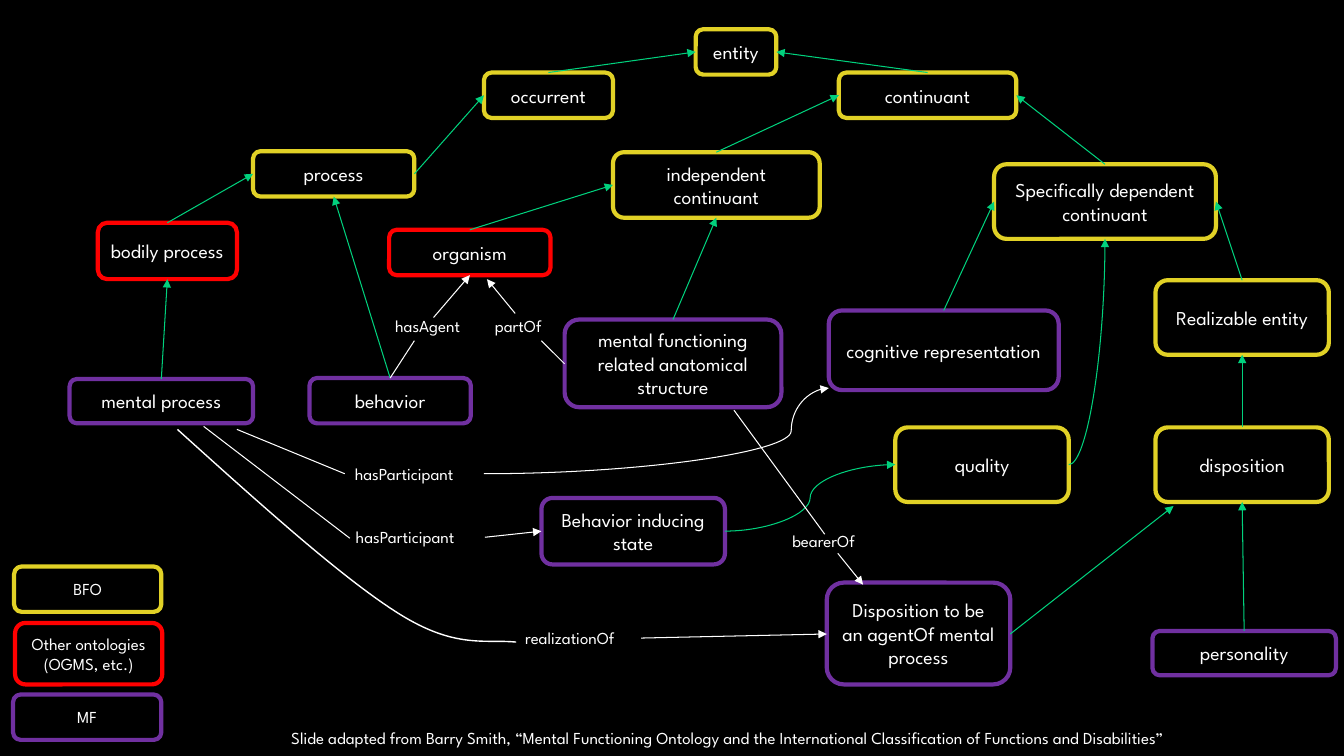
"""Build a slide showing a mental functioning ontology as a linked hierarchy."""
from typing import NamedTuple

from lxml import etree
from pptx import Presentation
from pptx.dml.color import RGBColor
from pptx.enum.shapes import MSO_CONNECTOR, MSO_SHAPE
from pptx.enum.text import MSO_ANCHOR, PP_ALIGN
from pptx.oxml.ns import qn
from pptx.util import Emu, Pt

PX = 9144
FONT = "League Spartan"
COLOURS = {
    "background": "000000",
    "text": "FFFFFF",
    "relation": "FFFFFF",
    "is_a": "01D17D",
    "BFO": "E1D126",
    "other": "FF0000",
    "MF": "7030A0",
}
ROUNDED = MSO_SHAPE.ROUNDED_RECTANGLE
STRAIGHT, CURVE = MSO_CONNECTOR.STRAIGHT, MSO_CONNECTOR.CURVE
CENTER, LEFT_ALIGN = PP_ALIGN.CENTER, PP_ALIGN.LEFT
MIDDLE = MSO_ANCHOR.MIDDLE
TOP, LEFT, BOTTOM, RIGHT = range(4)


class Box(NamedTuple):
    text: str
    ontology: str
    left: int
    top: int
    width: int
    height: int
    size: int = 14
    inset: bool = True


class Link(NamedTuple):
    child: str
    child_side: int
    parent: str
    parent_side: int
    preset: str = "line"


class Line(NamedTuple):
    x1: int
    y1: int
    x2: int
    y2: int
    arrow: bool = True
    colour: str = "relation"
    bend: int = 0


class Label(NamedTuple):
    text: str
    left: int
    top: int
    width: int


BOXES = [
    Box("entity", "BFO", 690, 29, 80, 45),
    Box("occurrent", "BFO", 480, 72, 128, 45),
    Box("continuant", "BFO", 832, 72, 176, 45),
    Box("process", "BFO", 251, 150, 160, 45),
    Box("independent continuant", "BFO", 608, 151, 205, 65),
    Box("Specifically dependent continuant", "BFO", 986, 163, 220, 74),
    Box("Realizable entity", "BFO", 1146, 278, 172, 74),
    Box("disposition", "BFO", 1146, 424, 172, 74),
    Box("quality", "BFO", 888, 424, 172, 74),
    Box("organism", "other", 386, 228, 160, 45),
    Box("bodily process", "other", 97, 221, 138, 56),
    Box("behavior", "MF", 307, 375, 160, 45),
    Box("mental functioning related anatomical structure", "MF", 560, 317, 215, 87),
    Box("cognitive representation", "MF", 822, 308, 228, 79),
    Box("mental process", "MF", 69, 376, 182, 44),
    Box("Behavior inducing state", "MF", 537, 494, 182, 66),
    Box("Disposition to be an agentOf mental process", "MF", 820, 578, 182, 101),
    Box("personality", "MF", 1143, 626, 182, 44),
    Box("BFO", "BFO", 14, 562, 146, 45, 12),
    Box("Other ontologies (OGMS, etc.)", "other", 15, 618, 146, 61, 12, False),
    Box("MF", "MF", 13, 689, 147, 45, 12),
]
LINKS = [
    Link("occurrent", TOP, "entity", LEFT),
    Link("continuant", TOP, "entity", RIGHT),
    Link("process", RIGHT, "occurrent", LEFT),
    Link("independent continuant", TOP, "continuant", LEFT),
    Link("Specifically dependent continuant", TOP, "continuant", RIGHT),
    Link("Realizable entity", TOP, "Specifically dependent continuant", RIGHT),
    Link("disposition", TOP, "Realizable entity", BOTTOM),
    Link("organism", TOP, "independent continuant", LEFT),
    Link("mental functioning related anatomical structure", TOP, "independent continuant", BOTTOM),
    Link("cognitive representation", TOP, "Specifically dependent continuant", LEFT),
    Link("quality", RIGHT, "Specifically dependent continuant", BOTTOM, "curvedConnector2"),
    Link("behavior", TOP, "process", BOTTOM),
    Link("mental process", TOP, "bodily process", BOTTOM),
    Link("bodily process", TOP, "process", LEFT),
    Link("personality", TOP, "disposition", BOTTOM),
    Link("Behavior inducing state", RIGHT, "quality", LEFT, "curvedConnector3"),
]
LINES = [
    Line(1002, 629, 1164, 502, colour="is_a"),
    Line(387, 375, 411, 338, arrow=False),
    Line(430, 315, 466, 273),
    Line(560, 361, 537, 338, arrow=False),
    Line(511, 311, 483, 277),
    Line(235, 426, 342, 470, arrow=False),
    Line(481, 533, 537, 527),
    Line(818, 530, 728, 407, arrow=False),
    Line(831, 549, 856, 580),
    Line(480, 470, 822, 385, bend=89100),
    Line(202, 423, 347, 534, arrow=False),
    Line(636, 633, 820, 629),
]
LABELS = [
    Label("hasAgent", 382, 308, 99),
    Label("partOf", 481, 308, 74),
    Label("hasParticipant", 342, 455, 138),
    Label("hasParticipant", 343, 518, 138),
    Label("bearerOf", 776, 522, 95),
    Label("realizationOf", 511, 618, 125),
    Label("Slide adapted from Barry Smith, “Mental Functioning Ontology and the "
          "International Classification of Functions and Disabilities”", 279, 717, 1059),
]
REALIZATION_CURVE = [(176, 426), (258, 500), (340, 574), (396, 609), (452, 644), (481, 634), (512, 637)]


def px(*lengths: int) -> list[Emu]:
    return [Emu(length * PX) for length in lengths]


def colour_of(name: str) -> RGBColor:
    return RGBColor.from_string(COLOURS[name])


def write_text(shape, text: str, size: int, alignment) -> None:
    frame = shape.text_frame
    frame.text = text
    frame.word_wrap = True
    paragraph = frame.paragraphs[0]
    paragraph.alignment = alignment
    font = paragraph.runs[0].font
    font.name, font.size, font.color.rgb = FONT, Pt(size), colour_of("text")


def style_line(shape, colour: str, width: float) -> None:
    shape.line.color.rgb = colour_of(colour)
    shape.line.width = Pt(width)


def draw_box(slide, box: Box):
    shape = slide.shapes.add_shape(ROUNDED, *px(box.left, box.top, box.width, box.height))
    shape.shadow.inherit = False
    shape.fill.background()
    style_line(shape, box.ontology, 3)
    write_text(shape, box.text, box.size, CENTER)
    frame = shape.text_frame
    frame.vertical_anchor = MIDDLE
    if not box.inset:
        frame.margin_left = frame.margin_right = frame.margin_top = frame.margin_bottom = 0
    return shape


def style_connector(connector, colour: str, arrow: bool) -> None:
    style_line(connector, colour, 0.75)
    if arrow:
        etree.SubElement(connector.line._get_or_add_ln(), qn("a:tailEnd"), type="triangle")
    etree.SubElement(connector._element.spPr, qn("a:effectLst"))


def draw_link(slide, link: Link, boxes: dict) -> None:
    kind = STRAIGHT if link.preset == "line" else CURVE
    connector = slide.shapes.add_connector(kind, 0, 0, 0, 0)
    connector.begin_connect(boxes[link.child], link.child_side)
    connector.end_connect(boxes[link.parent], link.parent_side)
    connector._element.spPr.find(qn("a:prstGeom")).set("prst", link.preset)
    style_connector(connector, "is_a", True)


def draw_line(slide, line: Line) -> None:
    kind = CURVE if line.bend else STRAIGHT
    connector = slide.shapes.add_connector(kind, *px(line.x1, line.y1, line.x2, line.y2))
    if line.bend:
        guides = connector._element.spPr.find(qn("a:prstGeom")).get_or_add_avLst()
        etree.SubElement(guides, qn("a:gd"), name="adj1", fmla=f"val {line.bend}")
    style_connector(connector, line.colour, line.arrow)


def draw_curve(slide, points: list[tuple[int, int]]) -> None:
    builder = slide.shapes.build_freeform(*points[0], scale=PX)
    builder.add_line_segments(points[1:], close=False)
    shape = builder.convert_to_shape()
    segments = list(shape._element.iter(qn("a:lnTo")))
    for start in range(0, len(segments), 3):
        bezier = etree.SubElement(segments[start].getparent(), qn("a:cubicBezTo"))
        for segment in segments[start:start + 3]:
            bezier.append(segment[0])
            segment.getparent().remove(segment)
    shape.shadow.inherit = False
    shape.fill.background()
    style_line(shape, "relation", 1)


def draw_label(slide, label: Label) -> None:
    shape = slide.shapes.add_textbox(*px(label.left, label.top, label.width, 30))
    write_text(shape, label.text, 12, LEFT_ALIGN)


def main() -> None:
    presentation = Presentation()
    presentation.slide_width, presentation.slide_height = px(1333, 750)
    slide = presentation.slides.add_slide(presentation.slide_layouts[6])
    slide.background.fill.solid()
    slide.background.fill.fore_color.rgb = colour_of("background")
    boxes = {box.text: draw_box(slide, box) for box in BOXES}
    for link in LINKS:
        draw_link(slide, link, boxes)
    for line in LINES:
        draw_line(slide, line)
    draw_curve(slide, REALIZATION_CURVE)
    for label in LABELS:
        draw_label(slide, label)
    presentation.save("out.pptx")


if __name__ == "__main__":
    main()
